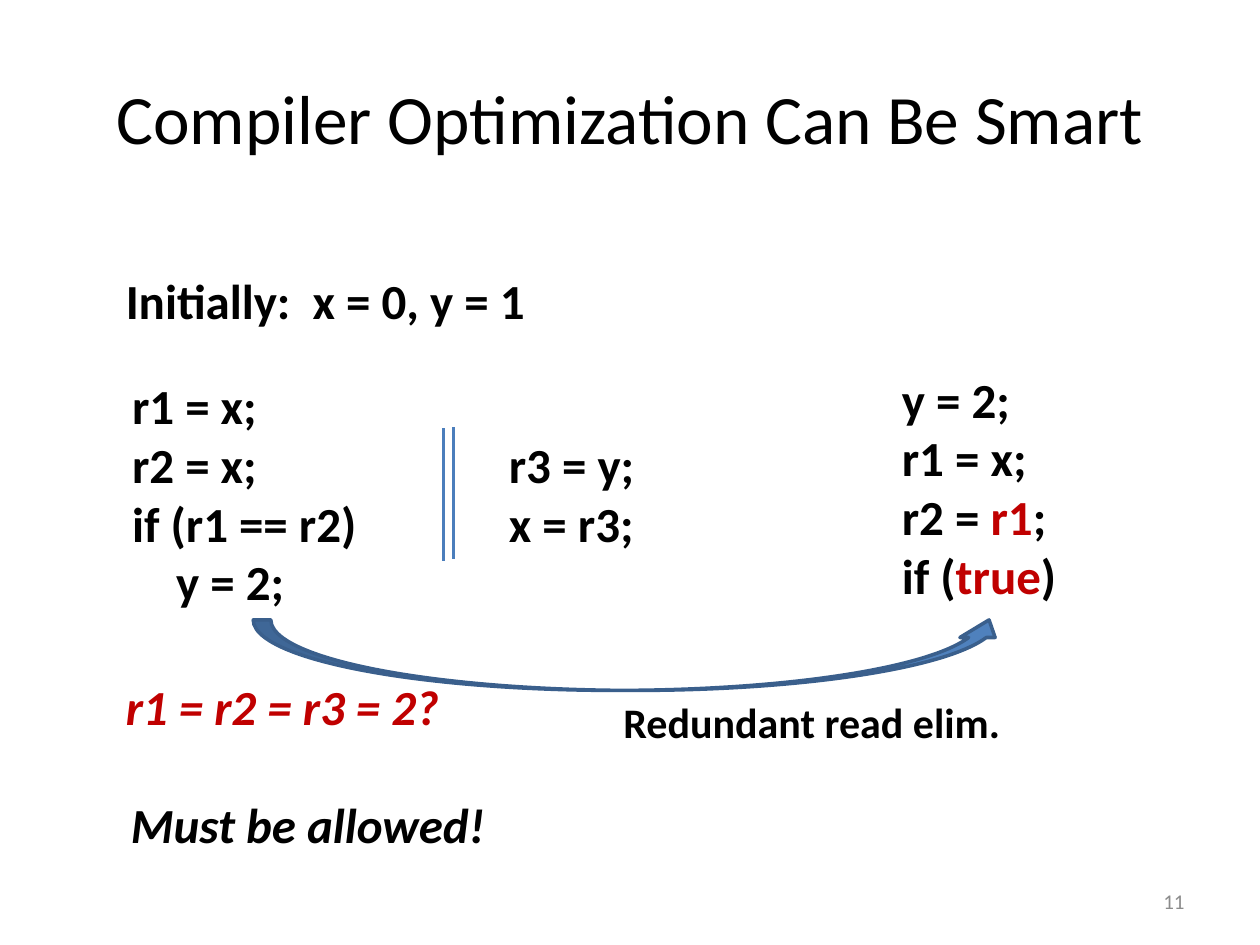
from pptx import Presentation
from pptx.dml.color import RGBColor
from pptx.enum.shapes import MSO_CONNECTOR, MSO_SHAPE
from pptx.enum.text import MSO_ANCHOR, PP_ALIGN
from pptx.oxml.ns import qn
from pptx.util import Inches, Pt
from lxml import etree

COLORS = {"text": "000000", "accent": "C00000", "muted": "8C8C8C",
          "fill": "4F81BD", "outline": "3A5F8C", "bar": "4B7EBC"}
FONT = "Calibri"


def rgb(name):
    return RGBColor.from_string(COLORS[name])


def set_font(font, size, color="text", bold=False, italic=False):
    font.name, font.size = FONT, Pt(size)
    font.bold, font.italic = bold, italic
    font.color.rgb = rgb(color)


def add_title(s, box, text):
    sp = s.shapes.title
    sp.left, sp.top, sp.width, sp.height = map(Inches, box)
    tf = sp.text_frame
    tf.text = text
    tf.vertical_anchor = MSO_ANCHOR.MIDDLE
    p = tf.paragraphs[0]
    p.alignment = PP_ALIGN.CENTER
    set_font(p.font, 39.6)


def add_text(s, box, lines, size=28, color="text", bold=True, italic=False):
    """Each line is a string or a list of (text, color) runs."""
    tf = s.shapes.add_textbox(*map(Inches, box)).text_frame
    tf.word_wrap = True
    for i, line in enumerate(lines):
        p = tf.add_paragraph() if i else tf.paragraphs[0]
        set_font(p.font, size, color, bold, italic)
        runs = [(line, color)] if isinstance(line, str) else line
        for text, run_color in runs:
            r = p.add_run()
            r.text = text
            if run_color != color:
                r.font.color.rgb = rgb(run_color)
    return tf


def add_parallel_bars(s, box):
    """Two vertical lines, the second slightly higher."""
    left, top, width, height = box
    for x, y in ((left, top + 0.01), (left + width, top)):
        line = s.shapes.add_connector(MSO_CONNECTOR.STRAIGHT, Inches(x), Inches(y),
                                      Inches(x), Inches(y + height))
        line.line.color.rgb = rgb("bar")
        line.line.width = Pt(2)
        etree.SubElement(line._element.spPr, qn("a:effectLst"))


def add_program(s, box):
    """Two threads side by side, parted by the parallel bars."""
    left, top = box[:2]
    tf = add_text(s, (left, top, 2.57, 1.99),
                  ["r1 = x;", "r2 = x;", "if (r1 == r2)", "y = 2;"])
    tf.paragraphs[-1]._p.get_or_add_pPr().set("marL", str(Inches(0.35)))
    add_text(s, (left + 2.99, top + 0.47, 1.39, 1.04), ["r3 = y;", "x = r3;"])
    add_parallel_bars(s, (left + 2.57, top + 0.46, 0.08, 1.05))


def add_optimized(s, box):
    add_text(s, box, ["y = 2;", "r1 = x;",
                      [("r2 = ", "text"), ("r1", "accent"), (";", "text")],
                      [("if (", "text"), ("true", "accent"), (")", "text")]])


def add_transformation(s, box):
    """Curved arrow from the program to its optimized form, with a caption."""
    left, top, width, height = box
    sp = s.shapes.add_shape(MSO_SHAPE.CURVED_UP_ARROW, *map(Inches, box))
    sp.shadow.inherit = False
    sp.fill.solid()
    sp.fill.fore_color.rgb = rgb("fill")
    sp.line.color.rgb = rgb("outline")
    sp.line.width = Pt(2)
    add_text(s, (left + 2.84, top + height, 3.46, 0.5), ["Redundant read elim."], size=24)


def add_slide_number(s, box, number):
    tf = add_text(s, box, [number], size=12, color="muted", bold=False)
    tf.vertical_anchor = MSO_ANCHOR.MIDDLE
    tf.paragraphs[0].alignment = PP_ALIGN.RIGHT


def main():
    prs = Presentation()
    prs.slide_width, prs.slide_height = Inches(10), Inches(7.5)
    s = prs.slides.add_slide(prs.slide_layouts[5])

    add_title(s, (0.5, 0.3, 9, 1.25), "Compiler Optimization Can Be Smart")

    # Program and its initial state
    add_text(s, (0.9, 2.1, 4.04, 0.57), ["Initially:  x = 0, y = 1"])
    add_program(s, (0.95, 2.93, 4.38, 1.99))

    # Question and answer
    add_text(s, (0.9, 5.32, 3.04, 0.57), ["r1 = r2 = r3 = 2?"], color="accent", italic=True)
    add_text(s, (0.94, 6.26, 3.69, 0.57), ["Must be allowed!"], italic=True)

    # Optimized form
    add_transformation(s, (2.01, 4.92, 5.98, 0.56))
    add_optimized(s, (7.06, 2.88, 1.86, 1.99))

    add_slide_number(s, (7.17, 6.95, 2.33, 0.4), "11")
    prs.save("out.pptx")


if __name__ == "__main__":
    main()
